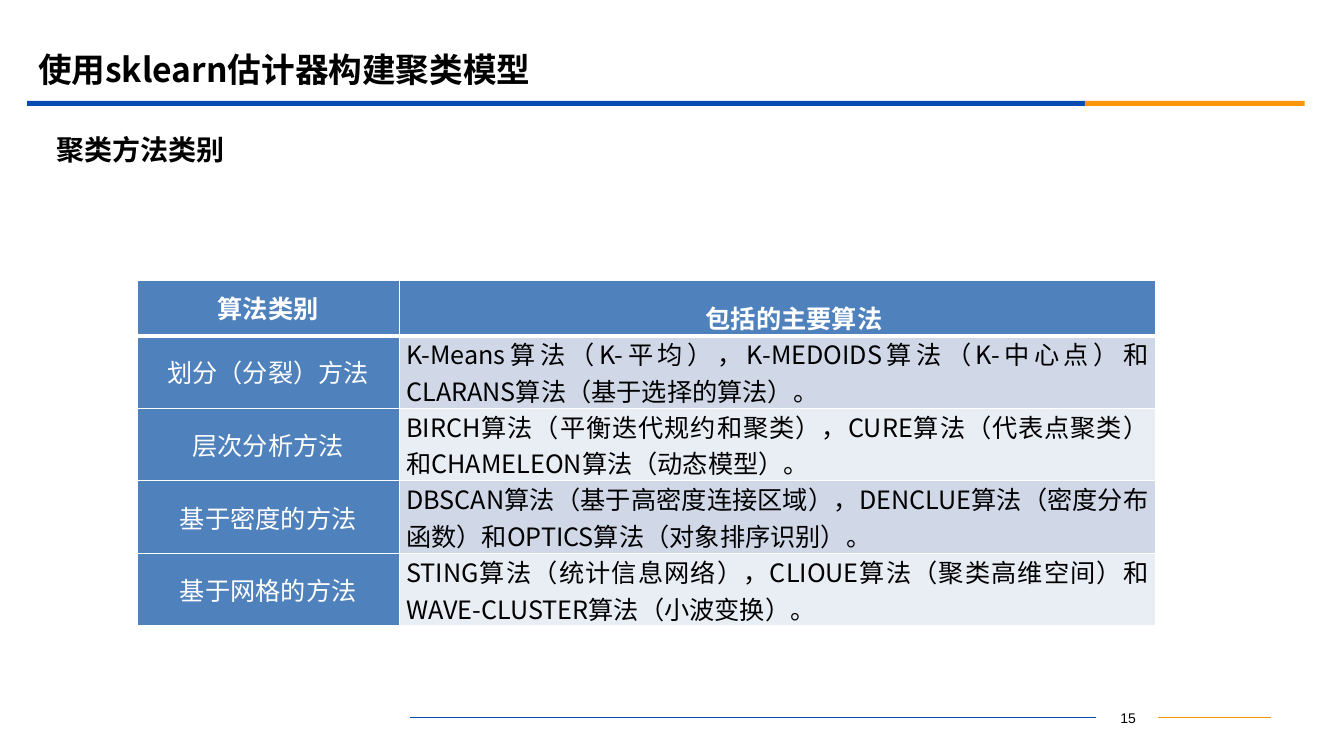
import pptx
import pptx.dml.color
import pptx.enum.shapes
import pptx.enum.text
import pptx.oxml.ns
import pptx.util
from lxml import etree

RGB = pptx.dml.color.RGBColor
ALIGN = pptx.enum.text.PP_ALIGN
MID = pptx.enum.text.MSO_ANCHOR.MIDDLE
qn = pptx.oxml.ns.qn

WHITE = RGB(0xFF, 0xFF, 0xFF)
BLACK = RGB(0, 0, 0)
NAVY = RGB(0x06, 0x4B, 0xB2)
GOLD = RGB(0xFB, 0x97, 0x08)
AMBER = RGB(0xF1, 0x95, 0x00)
STEEL = RGB(0x4F, 0x81, 0xBD)
BANDS = (RGB(0xD0, 0xD8, 0xE8), RGB(0xE9, 0xED, 0xF4))

SCALE = 9144
SANS = "Noto Sans CJK SC"
HEAD = ("算法类别", "包括的主要算法")
ROWS = (
    ("划分（分裂）方法",
     "K-Means算法（K-平均），K-MEDOIDS算法（K-中心点）和CLARANS算法（基于选择的算法）。"),
    ("层次分析方法",
     "BIRCH算法（平衡迭代规约和聚类），CURE算法（代表点聚类）和CHAMELEON算法（动态模型）。"),
    ("基于密度的方法",
     "DBSCAN算法（基于高密度连接区域），DENCLUE算法（密度分布函数）和OPTICS算法（对象排序识别）。"),
    ("基于网格的方法",
     "STING算法（统计信息网络），CLIOUE算法（聚类高维空间）和WAVE-CLUSTER算法（小波变换）。"),
)


def px(*nums):
    return [pptx.util.Emu(num * SCALE) for num in nums]


def apply(item, style):
    for key, value in style.items():
        setattr(item, key, value)


def write(para, text, size, color, bold=False, face=SANS, align=ALIGN.LEFT):
    para.alignment = align
    run = para.add_run()
    run.text = text
    apply(run.font, {"name": face, "size": pptx.util.Pt(size), "bold": bold})
    run.font.color.rgb = color
    props = run.font._element
    etree.SubElement(props, qn("a:ea")).set("typeface", face)


def label(slide, box, text, size, **style):
    frame = slide.shapes.add_textbox(*px(*box)).text_frame
    apply(frame, {"word_wrap": True, "vertical_anchor": MID})
    write(frame.paragraphs[0], text, size, BLACK, **style)


def bar(slide, box, color):
    kind = pptx.enum.shapes.MSO_SHAPE.RECTANGLE
    shape = slide.shapes.add_shape(kind, *px(*box))
    shape.shadow.inherit = False
    shape.fill.solid()
    shape.fill.fore_color.rgb = color
    shape.line.fill.background()


def rule(slide, left, right, top, color):
    kind = pptx.enum.shapes.MSO_CONNECTOR.STRAIGHT
    line = slide.shapes.add_connector(kind, *px(left, top, right, top))
    line.line.color.rgb = color
    line.line.width = pptx.util.Pt(0.75)
    etree.SubElement(line._element.spPr, qn("a:effectLst"))


def edge(cell, widths):
    props = cell._tc.get_or_add_tcPr()
    for spot, (side, width) in enumerate(widths.items()):
        line = etree.Element(qn("a:ln" + side), w=str(pptx.util.Pt(width)))
        fill = etree.SubElement(line, qn("a:solidFill"))
        etree.SubElement(fill, qn("a:srgbClr"), val=str(WHITE))
        props.insert(spot, line)


def grid(slide):
    count = len(ROWS) + 1
    shape = slide.shapes.add_table(count, 2, *px(136, 278, 1010, 343))
    table = shape.table
    for col, width in zip(table.columns, px(260, 750)):
        col.width = width
    for row, height in zip(table.rows, px(55, *[72] * len(ROWS))):
        row.height = height
    side, = px(7)
    for i, texts in enumerate((HEAD, *ROWS)):
        for j, text in enumerate(texts):
            cell = table.cell(i, j)
            body = i > 0 and j > 0
            apply(cell, {"margin_left": side, "margin_right": side,
                         "margin_top": 0, "margin_bottom": 0,
                         "vertical_anchor": MID})
            cell.fill.solid()
            cell.fill.fore_color.rgb = BANDS[(i - 1) % 2] if body else STEEL
            edge(cell, {"L": 1, "R": 1, "T": 3 if i == 1 else 1,
                        "B": 3 if i == 0 else 1})
            write(cell.text_frame.paragraphs[0], text, 18,
                  BLACK if body else WHITE, bold=i == 0,
                  align=ALIGN.JUSTIFY if body else ALIGN.CENTER)
    para = table.cell(0, 1).text_frame.paragraphs[0]
    para.line_spacing = 1.5
    para._p.get_or_add_pPr().set("indent", str(px(33)[0]))


def main():
    deck = pptx.Presentation()
    wide, high = px(1333, 750)
    apply(deck, {"slide_width": wide, "slide_height": high})
    slide = deck.slides.add_slide(deck.slide_layouts[6])
    label(slide, (1088, 700, 62, 25), "15", 10, face="Arial",
          align=ALIGN.CENTER)
    rule(slide, 1149, 1261, 712, AMBER)
    rule(slide, 407, 1087, 712, NAVY)
    bar(slide, (27, 100, 1049, 5), NAVY)
    bar(slide, (1076, 100, 218, 5), GOLD)
    grid(slide)
    label(slide, (28, 39, 1200, 58), "使用sklearn估计器构建聚类模型", 24,
          bold=True)
    label(slide, (46, 125, 1215, 47), "聚类方法类别", 20, bold=True)
    deck.save("out.pptx")


if __name__ == "__main__":
    main()
